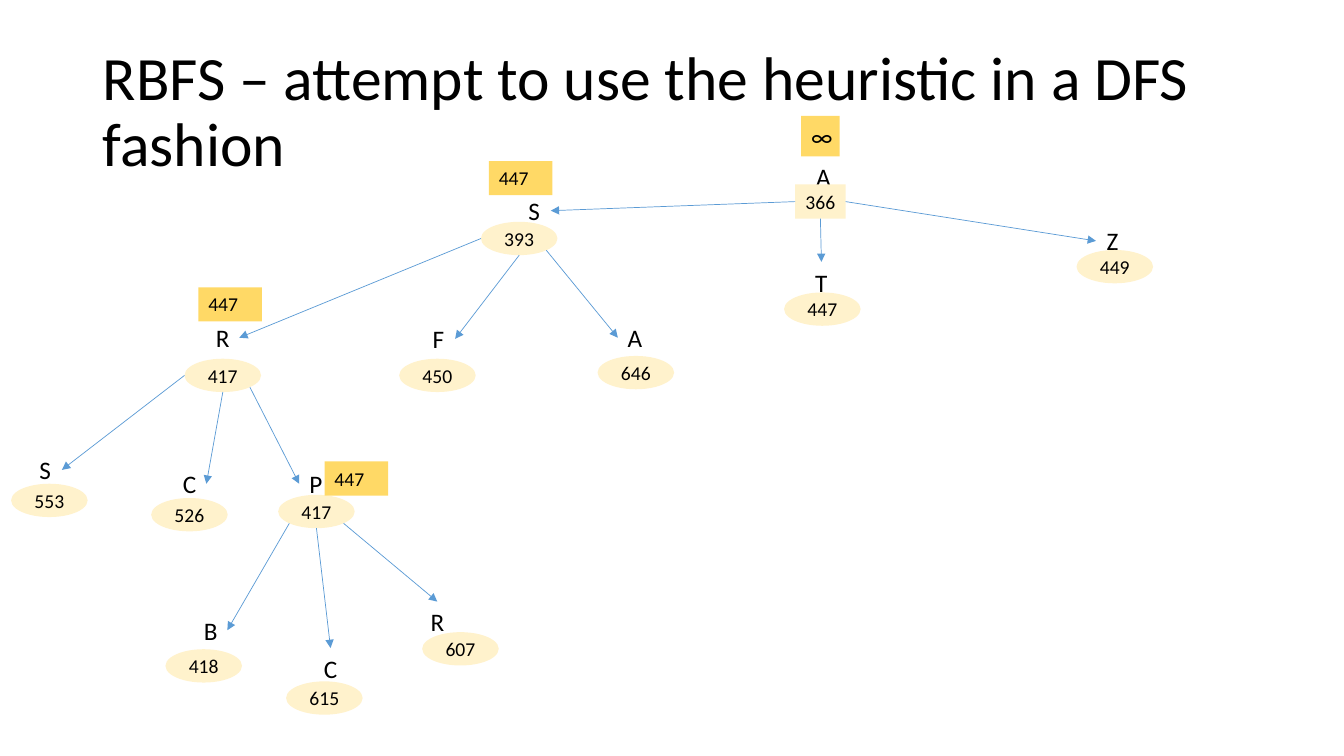
"""Build a slide that traces recursive best-first search through a route tree."""
from collections import namedtuple

from lxml import etree
from pptx import Presentation
from pptx import util as u
from pptx.dml.color import RGBColor
from pptx.enum import shapes, text
from pptx.oxml.ns import qn

COLORS = {"ink": "000000", "value": "FFF2CC", "limit": "FFD966", "arrow": "5B9BD5"}
Box = namedtuple("Box", "left top width height")
Node = namedtuple("Node", "letter center top value value_left value_top")

LETTER_WIDTH, LETTER_HEIGHT = 0.84, 1.02
ROOT_SIZE, VALUE_SIZE, LIMIT_SIZE = (1.27, 0.86), (1.93, 0.84), (1.6, 0.86)
PORTS = {
    "left": (0, 0.5), "right": (1, 0.5), "top": (0.5, 0), "bottom": (0.5, 1),
    "lower left": (0.146, 0.854), "lower right": (0.854, 0.854),
}
NODES = {
    "start": Node("A", 20.74, 3.94, "366", 20.04, 4.65),
    "S": Node("S", 13.46, 4.8, "393", 12.12, 5.59),
    "T": Node("T", 20.7, 6.6, "447", 19.76, 7.37),
    "Z": Node("Z", 28.04, 5.56, "449", 27.13, 6.3),
    "R": Node("R", 5.61, 8, "417", 4.65, 9.04),
    "F": Node("F", 11.05, 8.03, "450", 10.06, 9.04),
    "S-A": Node("A", 15.99, 8, "646", 15.06, 8.97),
    "R-S": Node("S", 1.14, 11.33, "553", 0.28, 12.19),
    "R-C": Node("C", 4.78, 11.68, "526", 3.81, 12.55),
    "P": Node("P", 7.96, 11.68, "417", 7.01, 12.47),
    "P-B": Node("B", 5.31, 15.37, "418", 4.17, 16.36),
    "P-C": Node("C", 8.33, 16.33, "615", 7.21, 17.17),
    "P-R": Node("R", 11.02, 15.16, "607", 10.64, 15.93),
}
EDGES = [
    ("start", "left", "S", "right"), ("start", "bottom", "T", "top"),
    ("start", "right", "Z", "left"),
    ("S", "left", "R", "right"), ("S", "bottom", "F", "right"),
    ("S", "lower right", "S-A", "left"),
    ("R", "left", "R-S", "right"), ("R", "bottom", "R-C", "right"),
    ("R", "lower right", "P", "left"),
    ("P", "lower left", "P-B", "right"), ("P", "bottom", "P-C", "top"),
    ("P", "lower right", "P-R", "top"),
]
LIMITS = [(12.32, 4.06), (5, 7.24), (8.18, 11.63)]


def color(name):
    return RGBColor.from_string(COLORS[name])


def write(shape, words, size=14, align="LEFT", anchor="TOP", wrap=True, spacing=1.0):
    frame = shape.text_frame
    frame.word_wrap = wrap
    frame.vertical_anchor = text.MSO_ANCHOR[anchor]
    para = frame.paragraphs[0]
    para.alignment = text.PP_ALIGN[align]
    para.line_spacing = spacing
    span = para.add_run()
    span.text = words
    span.font.name = "Calibri"
    span.font.size = u.Pt(size)
    span.font.color.rgb = color("ink")


def add_text(page, box, words, **style):
    write(page.shapes.add_textbox(*map(u.Cm, box)), words, **style)


def add_block(page, kind, box, fill, words, **style):
    shape = page.shapes.add_shape(kind, *map(u.Cm, box))
    shape.shadow.inherit = False
    shape.fill.solid()
    shape.fill.fore_color.rgb = color(fill)
    shape.line.fill.background()
    write(shape, words, **style)


def add_arrow(page, start, end):
    arrow = page.shapes.add_connector(
        shapes.MSO_CONNECTOR.STRAIGHT, *map(u.Cm, (*start, *end)))
    arrow.line.color.rgb = color("arrow")
    arrow.line.width = u.Pt(0.5)
    properties = arrow.line._get_or_add_ln()
    etree.SubElement(properties, qn("a:tailEnd"), type="triangle")
    etree.SubElement(properties.getparent(), qn("a:effectLst"))


def port(box, side):
    across, down = PORTS[side]
    return box.left + across * box.width, box.top + down * box.height


def add_title(page, box):
    add_text(page, box, "RBFS – attempt to use the heuristic in a DFS fashion",
             size=44, anchor="MIDDLE", spacing=0.9)


def add_tree(page, box):
    letters, values = {}, {}
    for name, node in NODES.items():
        root = name == "start"
        letters[name] = Box(box.left + node.center - LETTER_WIDTH / 2,
                            box.top + node.top, LETTER_WIDTH, LETTER_HEIGHT)
        values[name] = Box(box.left + node.value_left, box.top + node.value_top,
                           *(ROOT_SIZE if root else VALUE_SIZE))
        add_text(page, letters[name], node.letter, size=18, align="CENTER", wrap=False)
        kind = shapes.MSO_SHAPE.RECTANGLE if root else shapes.MSO_SHAPE.OVAL
        add_block(page, kind, values[name], "value", node.value, align="CENTER",
                  anchor="TOP" if root else "MIDDLE", wrap=not root)
    for parent, start, child, end in EDGES:
        add_arrow(page, port(values[parent], start), port(letters[child], end))


def add_limits(page, box):
    rectangle = shapes.MSO_SHAPE.RECTANGLE
    add_block(page, rectangle, Box(box.left + 20.19, box.top + 2.92, 0.97, 1.02),
              "limit", "∞", size=18)
    for left, top in LIMITS:
        add_block(page, rectangle, Box(box.left + left, box.top + top, *LIMIT_SIZE),
                  "limit", "447")


def main():
    deck = Presentation()
    area = Box(0, 0, 33.87, 19.05)
    deck.slide_width, deck.slide_height = u.Cm(area.width), u.Cm(area.height)
    page = deck.slides.add_slide(deck.slide_layouts[6])
    add_title(page, Box(2.34, 1.02, 29.21, 3.68))
    add_tree(page, area)
    add_limits(page, area)
    deck.save("out.pptx")


main()
